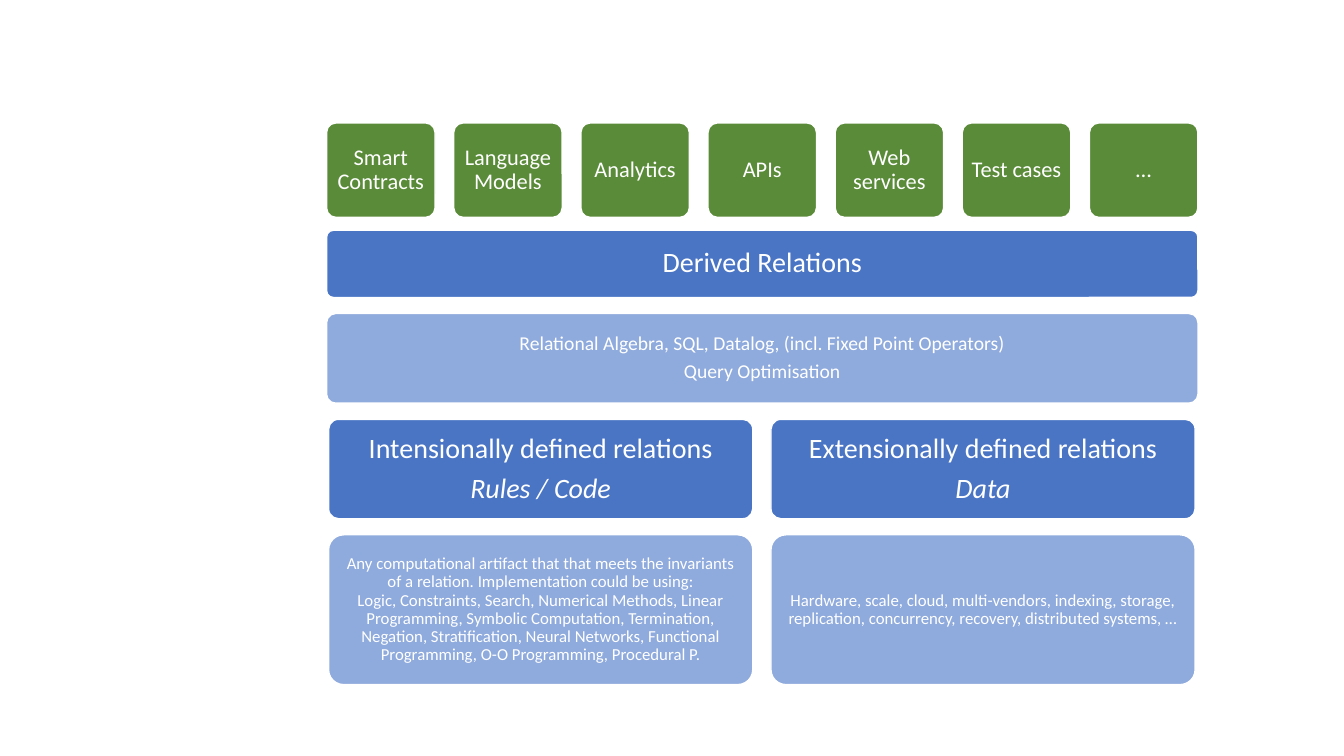
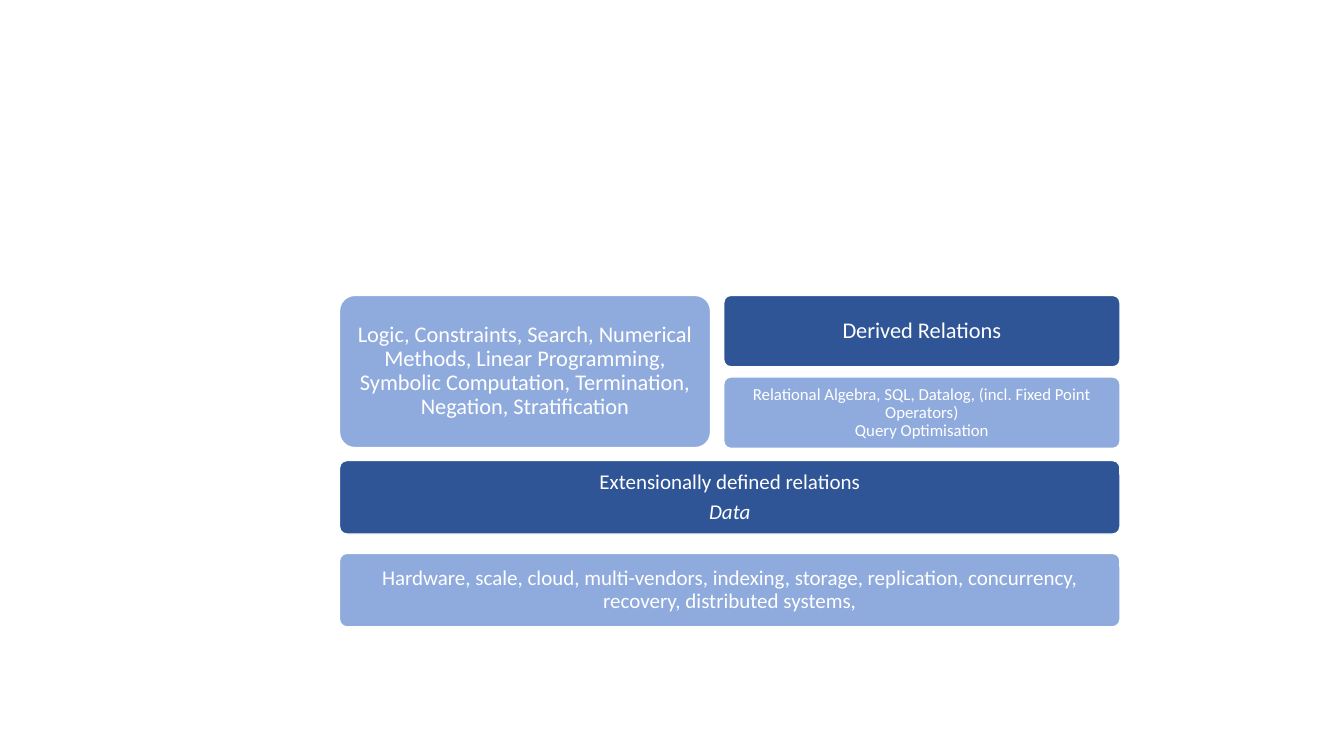
from copy import deepcopy

from pptx import Presentation
from pptx.dml.color import RGBColor
from pptx.enum import shapes, text
from pptx.oxml import ns
from pptx.util import Pt

COLORS = {
    "white": "FFFFFF",
    "green": "5A8B39",
    "blue": "4A75C5",
    "navy": "2F5597",
    "light": "8FAADC",
}
FONT = "Calibri"
CORNER = 0.1
LINE_SPACING = 0.9
SPACE_AFTER = 0.35  # share of the text size

APPLICATIONS = ["Smart Contracts", "Language Models", "Analytics", "APIs",
                "Web services", "Test cases", "…"]
RELATION_KINDS = [
    ("Intensionally defined relations", "Rules / Code",
     "Any computational artifact that that meets the invariants of a relation. "
     "Implementation could be using:\v"
     "Logic, Constraints, Search, Numerical Methods, Linear Programming, "
     "Symbolic Computation, Termination, Negation, Stratification, "
     "Neural Networks, Functional Programming, O-O Programming, Procedural P."),
    ("Extensionally defined relations", "Data",
     "Hardware, scale, cloud, multi-vendors, indexing, storage, replication, "
     "concurrency, recovery, distributed systems, …"),
]


def rgb(name):
    return RGBColor.from_string(COLORS[name])


def format_paragraph(para, size, italic):
    para.alignment = text.PP_ALIGN.CENTER
    para.line_spacing = LINE_SPACING
    para.space_after = Pt(size * SPACE_AFTER)
    for span in para.runs:
        span.font.name = FONT
        span.font.size = Pt(size)
        span.font.italic = italic
        span.font.color.rgb = rgb("white")
    # A line break needs the text size too, or its line grows taller.
    for line_break in para._p.findall(ns.qn("a:br")):
        line_break.insert(0, deepcopy(para.runs[0]._r.rPr))


def add_block(page, place, color, size, lines, italic_last=False):
    """Add a rounded block; place is left, top, width, height in points."""
    box = page.shapes.add_shape(shapes.MSO_SHAPE.ROUNDED_RECTANGLE,
                                *(Pt(length) for length in place))
    box.adjustments[0] = CORNER
    box.shadow.inherit = False
    box.fill.solid()
    box.fill.fore_color.rgb = rgb(color)
    box.line.color.rgb = rgb("white")
    box.line.width = Pt(1)

    frame = box.text_frame
    frame.word_wrap = True
    frame.vertical_anchor = text.MSO_ANCHOR.MIDDLE
    inset = Pt(size * 0.3)
    frame.margin_left = frame.margin_right = inset
    frame.margin_top = frame.margin_bottom = inset
    for index, line in enumerate(lines):
        para = frame.paragraphs[0] if index == 0 else frame.add_paragraph()
        para.text = line
        format_paragraph(para, size, italic_last and index == len(lines) - 1)


def build_full_stack(page):
    left, width = 233.3, 622.4
    app_width = 77.5
    app_step = (width - app_width) / (len(APPLICATIONS) - 1)
    for index, name in enumerate(APPLICATIONS):
        place = (left + index * app_step, 87.8, app_width, 67.5)
        add_block(page, place, "green", 16, [name])

    add_block(page, (left, 164.5, width, 48), "blue", 20, ["Derived Relations"])
    add_block(page, (left, 224, width, 64), "light", 14,
              ["Relational Algebra, SQL, Datalog, (incl. Fixed Point Operators)",
               "Query Optimisation"])

    column_width, column_step = 303, 316
    for index, (heading, subject, detail) in enumerate(RELATION_KINDS):
        column = 234.7 + index * column_step
        add_block(page, (column, 299.5, column_width, 71), "blue", 20,
                  [heading, subject], italic_last=True)
        add_block(page, (column, 382, column_width, 107), "light", 12, [detail])


def build_reduced_stack(page):
    left, width, top = 242.5, 557.5, 211
    right_width, right_height = 283, 51
    right = left + width - right_width
    add_block(page, (right, top, right_width, right_height), "navy", 16,
              ["Derived Relations"])
    add_block(page, (right, top + 58.3, right_width, right_height), "light", 12,
              ["Relational Algebra, SQL, Datalog, (incl. Fixed Point Operators)\v"
               "Query Optimisation"])
    add_block(page, (left, 329, width, 52.5), "navy", 15,
              ["Extensionally defined relations", "Data"], italic_last=True)
    add_block(page, (left, 395.3, width, 52.5), "light", 15,
              ["Hardware, scale, cloud, multi-vendors, indexing, storage, "
               "replication, concurrency, recovery, distributed systems,"])
    add_block(page, (left, top, 265, 108.7), "light", 16,
              ["Logic, Constraints, Search, Numerical Methods, Linear Programming, "
               "Symbolic Computation, Termination, Negation, Stratification"])


def main():
    deck = Presentation()
    deck.slide_width, deck.slide_height = Pt(960), Pt(540)
    blank = deck.slide_layouts.get_by_name("Blank")
    for build in (build_full_stack, build_reduced_stack):
        build(deck.slides.add_slide(blank))
    deck.save("out.pptx")


if __name__ == "__main__":
    main()
